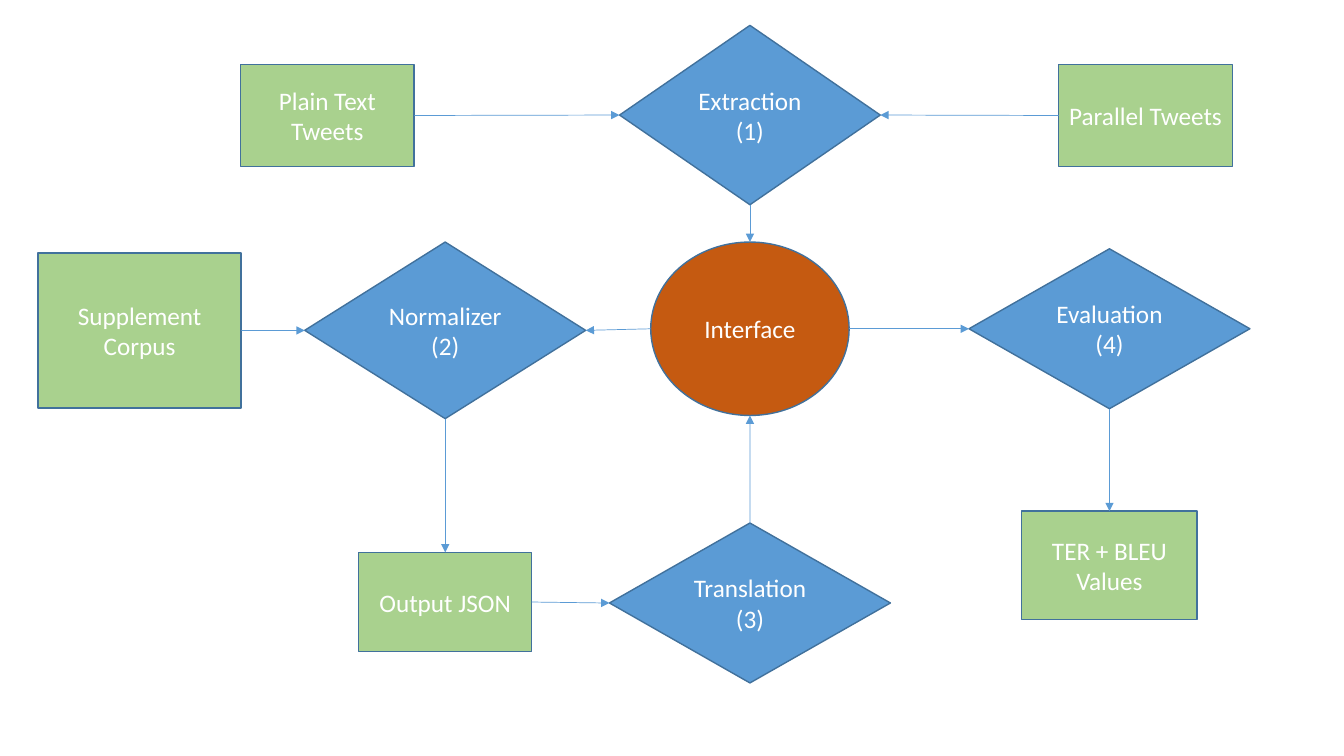
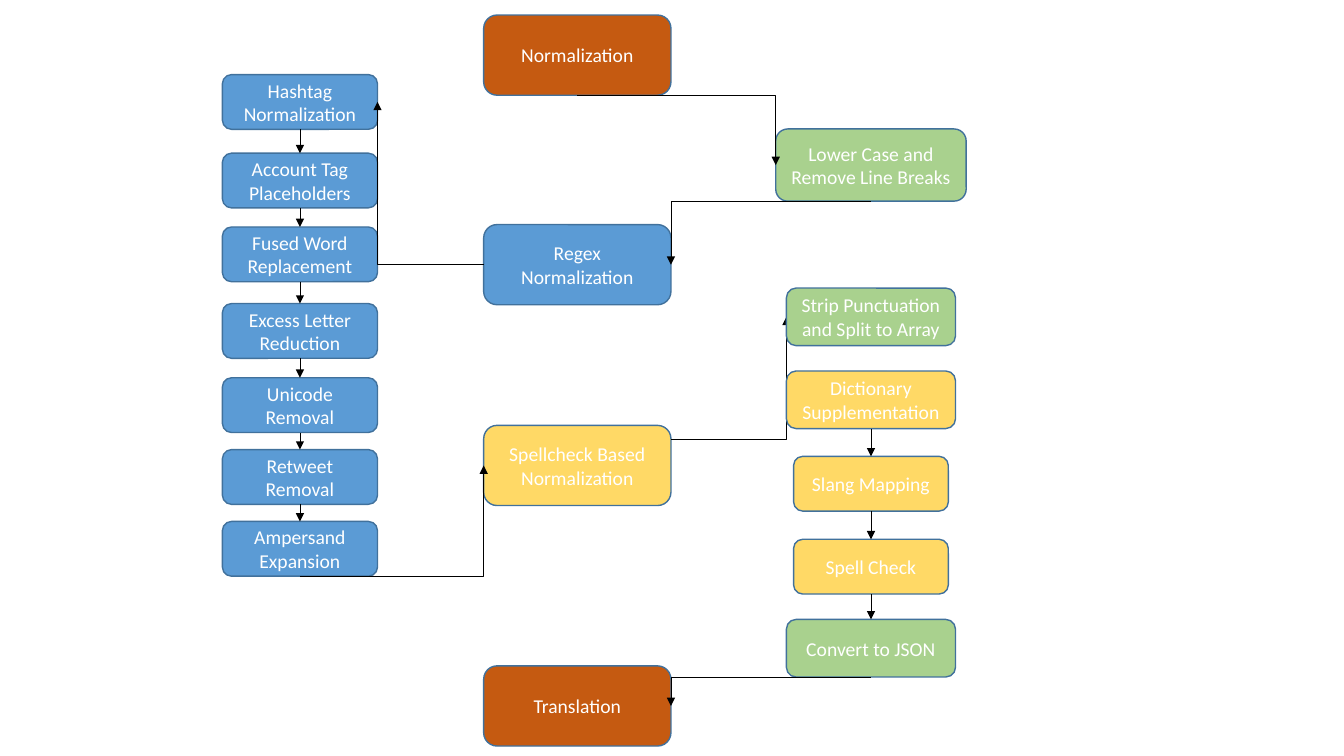
from itertools import pairwise

from lxml import etree
from pptx import Presentation
from pptx import util as u
from pptx.dml.color import RGBColor
from pptx.enum import shapes, text
from pptx.oxml.ns import qn

COLORS = {"blue": "5B9BD5", "green": "A9D18E", "orange": "C55A11",
          "yellow": "FFD966", "edge": "41719C", "white": "FFFFFF", "black": "000000"}
KINDS = shapes.MSO_SHAPE
TOP, LEFT, BOTTOM, RIGHT = range(4)


def rgb(name):
    return RGBColor.from_string(COLORS[name])


def add_node(s, kind, label, fill, size, cx, top, w, h):
    sp = s.shapes.add_shape(kind, u.Cm(cx - w / 2), u.Cm(top), u.Cm(w), u.Cm(h))
    sp.shadow.inherit = False
    sp.fill.solid()
    sp.fill.fore_color.rgb = rgb(fill)
    sp.line.color.rgb = rgb("edge")
    sp.line.width = u.Pt(1)
    tf = sp.text_frame
    tf.word_wrap = True
    tf.vertical_anchor = text.MSO_ANCHOR.MIDDLE
    for i, line in enumerate(label.split("\n")):
        p = tf.add_paragraph() if i else tf.paragraphs[0]
        p.alignment = text.PP_ALIGN.CENTER
        r = p.add_run()
        r.text = line
        for name, value in {"size": u.Pt(size), "name": "Calibri"}.items():
            setattr(r.font, name, value)
        r.font.color.rgb = rgb("white")
    return sp


def side_point(sp, side):
    x = {LEFT: 0, RIGHT: sp.width}.get(side, sp.width // 2)
    y = {TOP: 0, BOTTOM: sp.height}.get(side, sp.height // 2)
    return sp.left + x, sp.top + y


def add_arrow(s, start, end, color, bent=False):
    kind = shapes.MSO_CONNECTOR.ELBOW if bent else shapes.MSO_CONNECTOR.STRAIGHT
    cn = s.shapes.add_connector(kind, *start, *end)
    cn.line.color.rgb = rgb(color)
    cn.line.width = u.Pt(0.5)
    sppr = cn._element.spPr
    etree.SubElement(sppr.find(qn("a:ln")), qn("a:tailEnd"), type="triangle")
    etree.SubElement(sppr, qn("a:effectLst"))
    if bent:
        sppr.find(qn("a:prstGeom")).set("prst", "bentConnector2")
    return cn


def join(s, a, a_side, b, b_side, color):
    cn = add_arrow(s, side_point(a, a_side), side_point(b, b_side), color)
    if a.auto_shape_type != KINDS.OVAL:
        cn.begin_connect(a, a_side)
    if b.auto_shape_type != KINDS.OVAL:
        cn.end_connect(b, b_side)


def bend(s, a, a_side, b, b_side):
    return add_arrow(s, side_point(a, a_side), side_point(b, b_side), "black", True)


def system_flow(s, x, y):
    def node(kind, fill, label, cx, top, w, h):
        return add_node(s, kind, label, fill, 18, x + cx, y + top, w, h)

    def data(*args):
        return node(KINDS.RECTANGLE, "green", *args)

    def step(*args):
        return node(KINDS.DIAMOND, "blue", *args)

    mid, left, right = 18.9, 11.22, 27.96
    plain = data("Plain Text Tweets", 8.25, 1.63, 4.38, 2.56)
    parallel = data("Parallel Tweets", 28.87, 1.63, 4.38, 2.56)
    corpus = data("Supplement Corpus", 3.52, 6.38, 5.12, 3.9)
    output = data("Output JSON", left, 13.92, 4.36, 2.5)
    values = data("TER + BLEU Values", right, 12.88, 4.42, 2.74)
    extraction = step("Extraction\n(1)", mid, 0.64, 6.57, 4.52)
    normalizer = step("Normalizer\n(2)", left, 6.1, 7.08, 4.45)
    translation = step("Translation\n(3)", mid, 13.18, 7.08, 4.03)
    evaluation = step("Evaluation\n(4)", right, 6.27, 7.08, 4.03)
    interface = node(KINDS.OVAL, "orange", "Interface", mid, 6.1, 5, 4.37)

    for link in (
        (plain, RIGHT, extraction, LEFT),
        (parallel, LEFT, extraction, RIGHT),
        (extraction, BOTTOM, interface, TOP),
        (corpus, RIGHT, normalizer, LEFT),
        (interface, LEFT, normalizer, RIGHT),
        (interface, RIGHT, evaluation, LEFT),
        (normalizer, BOTTOM, output, TOP),
        (output, RIGHT, translation, LEFT),
        (translation, TOP, interface, BOTTOM),
        (evaluation, BOTTOM, values, TOP),
    ):
        join(s, *link, "blue")


def add_column(s, cx, y, items):
    return [add_node(s, KINDS.ROUNDED_RECTANGLE, label, fill, 14, cx, y + top, w, h)
            for label, fill, top, w, h in items]


def chain(s, nodes):
    for a, b in pairwise(nodes):
        join(s, a, BOTTOM, b, TOP, "black")


def regex_column(s, cx, y):
    steps = (("Hashtag Normalization", 0), ("Account Tag Placeholders", 1.98),
             ("Fused Word Replacement", 3.84), ("Excess Letter Reduction", 5.77),
             ("Unicode Removal", 7.64), ("Retweet Removal", 9.45),
             ("Ampersand Expansion", 11.26))
    nodes = add_column(s, cx, y, [(label, "blue", top, 3.91, 1.38) for label, top in steps])
    chain(s, nodes)
    return nodes


def stage_column(s, cx, y):
    stages = (("Normalization", "orange", 0), ("Regex Normalization", "blue", 5.28),
              ("Spellcheck Based Normalization", "yellow", 10.34),
              ("Translation", "orange", 16.4))
    return add_column(s, cx, y, [stage + (4.72, 2.02) for stage in stages])


def spelling_column(s, cx, y):
    wide, narrow = (4.26, 1.45), (3.9, 1.38)
    nodes = add_column(s, cx, y, [
        ("Lower Case and Remove Line Breaks", "green", 0, 4.8, 1.82),
        ("Strip Punctuation and Split to Array", "green", 4.01, *wide),
        ("Dictionary Supplementation", "yellow", 6.1, *wide),
        ("Slang Mapping", "yellow", 8.25, *narrow),
        ("Spell Check", "yellow", 10.34, *narrow),
        ("Convert to JSON", "green", 12.36, *wide)])
    chain(s, nodes[2:])
    return nodes


def normalization_flow(s, x, y):
    regex_steps = regex_column(s, x + 7.56, y + 1.88)
    start, regex, spellcheck, translation = stage_column(s, x + 14.55, y + 0.38)
    right = spelling_column(s, x + 21.95, y + 3.25)
    lower, strip, convert = right[0], right[1], right[-1]
    for link in (
        (start, BOTTOM, lower, LEFT),
        (lower, BOTTOM, regex, RIGHT),
        (regex, LEFT, regex_steps[0], RIGHT),
        (regex_steps[-1], BOTTOM, spellcheck, LEFT),
        (convert, BOTTOM, translation, RIGHT),
    ):
        bend(s, *link)
    exit_point = spellcheck.left + spellcheck.width, u.Cm(y + 11.07)
    cn = add_arrow(s, exit_point, side_point(strip, LEFT), "black", True)
    strip._element.addprevious(cn._element)


def main():
    prs = Presentation()
    prs.slide_width, prs.slide_height = u.Cm(33.87), u.Cm(19.05)
    for build in (system_flow, normalization_flow):
        build(prs.slides.add_slide(prs.slide_layouts[6]), 0, 0)
    prs.save("out.pptx")


if __name__ == "__main__":
    main()
